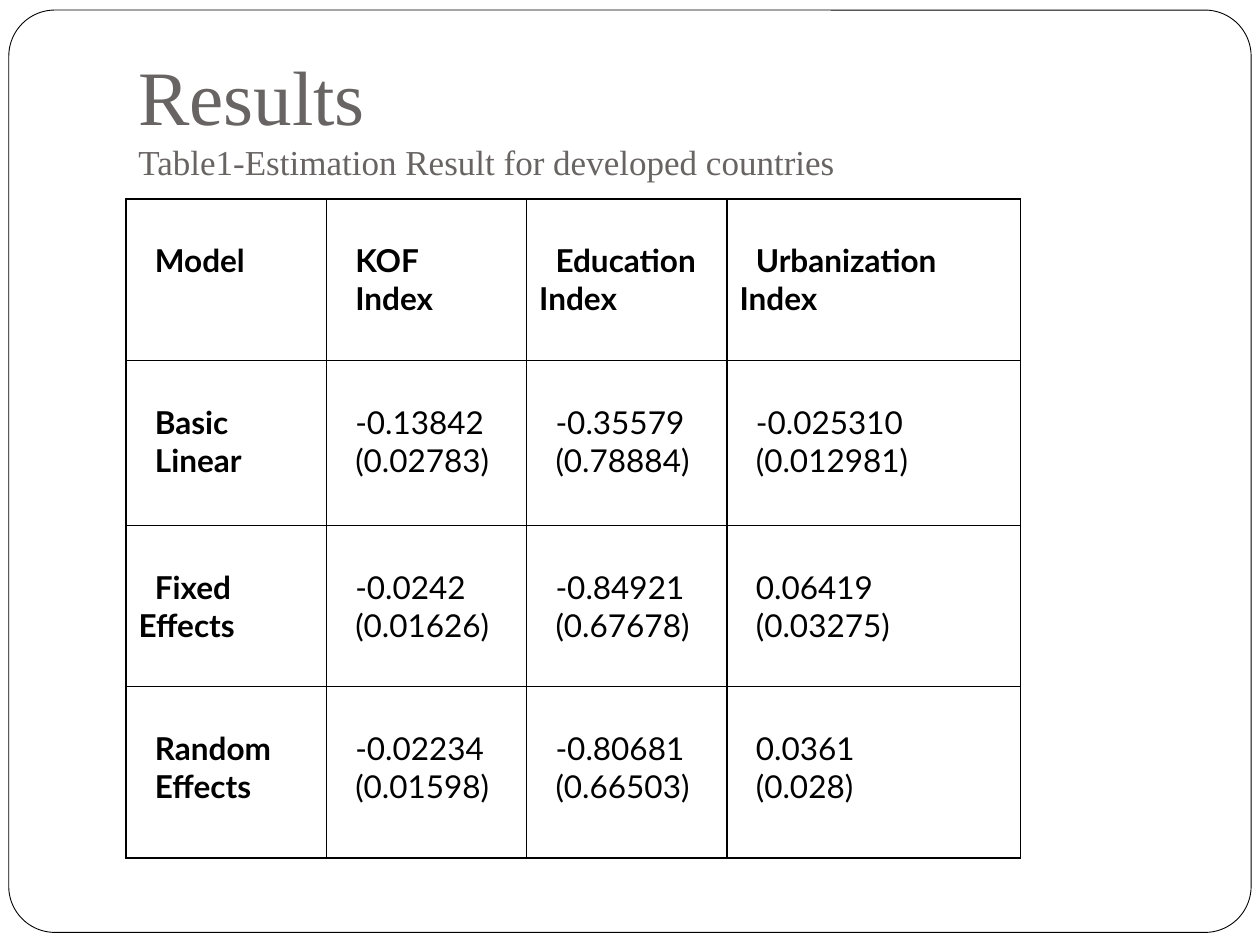
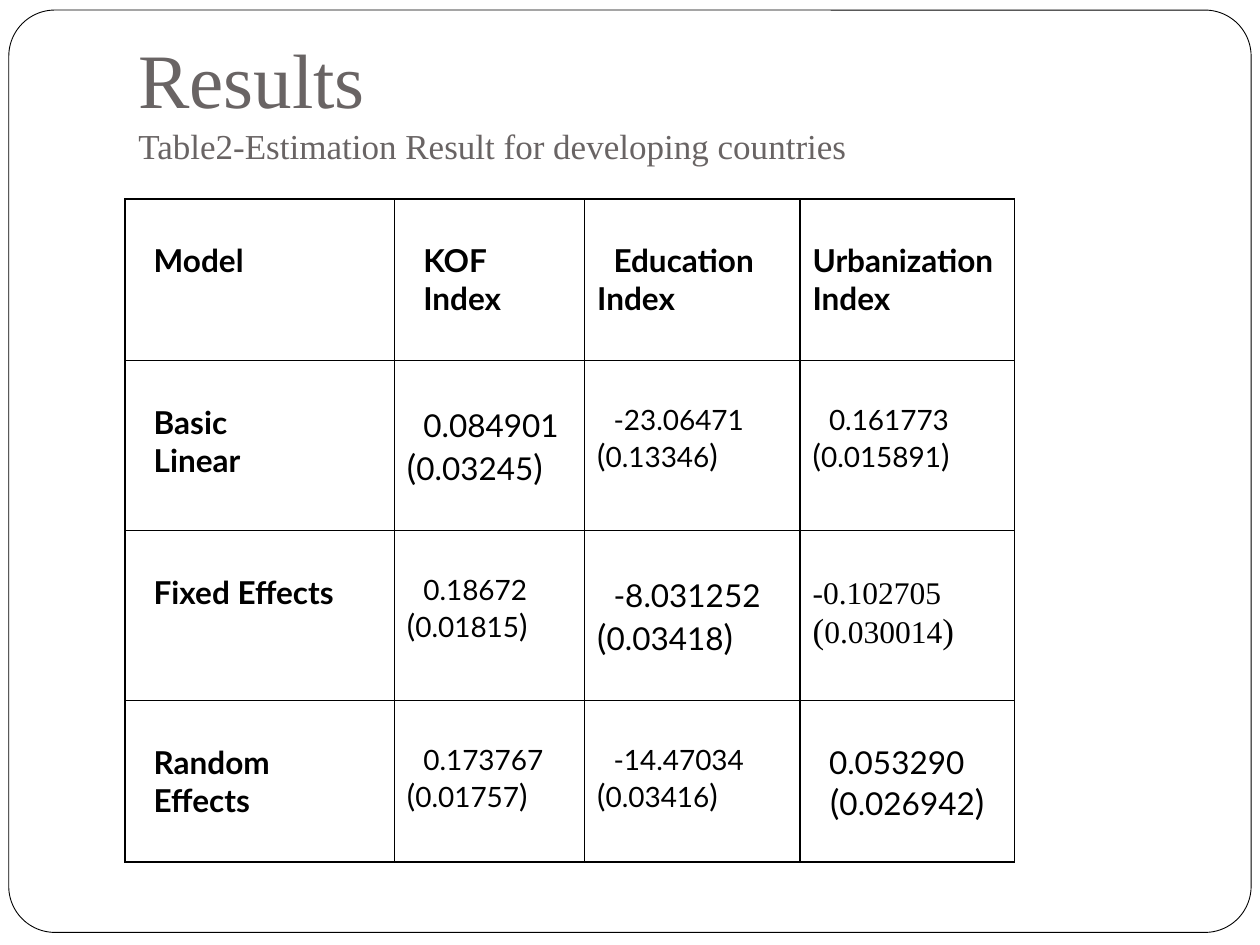
from dataclasses import dataclass

from lxml.etree import SubElement
from pptx import Presentation
from pptx.dml.color import RGBColor
from pptx.enum.shapes import MSO_SHAPE
from pptx.enum.text import MSO_ANCHOR, PP_ALIGN
from pptx.oxml.ns import qn
from pptx.util import Inches, Pt


@dataclass(frozen=True)
class Theme:
    paper: RGBColor = RGBColor(0xFF, 0xFF, 0xFF)
    ink: RGBColor = RGBColor(0, 0, 0)
    heading: RGBColor = RGBColor(0x69, 0x64, 0x64)
    serif: str = "Times New Roman"
    sans: str = "Lato"
    title: int = 44
    subtitle: int = 20
    large: int = 20
    body: int = 18
    small: int = 16
    frame_line: float = 0.5
    rule: float = 1
    indent: float = 0.13
    cell_top: float = 0.34


THEME = Theme()


@dataclass(frozen=True)
class Line:
    spans: tuple
    left: float = 0
    first: float = 0
    bold: bool = False
    font: str = THEME.sans
    align: PP_ALIGN = PP_ALIGN.LEFT


def block(*texts, bold=False):
    return [Line(((text, THEME.body),), left=THEME.indent, bold=bold) for text in texts]


def label(*texts):
    return block(*texts, bold=True)


def wrapped(text, first=THEME.indent):
    return [Line(((text, THEME.body),), first=first, bold=True)]


def bracketed(error, outer, inner):
    return ("(", outer), (error, inner), (")", outer)


def large_pair(value, error, first=THEME.indent, font=THEME.sans):
    spans = ((value, THEME.body), (" ", THEME.large),
             *bracketed(error, THEME.large, THEME.body))
    return [Line(spans, first=first, font=font)]


def small_pair(value, error):
    return [Line(((value, THEME.small),), first=THEME.indent),
            Line(bracketed(error, THEME.body, THEME.small))]


def centred_pair(value, error):
    return [Line(((value, THEME.body),), first=THEME.indent),
            Line(bracketed(error, THEME.large, THEME.body), align=PP_ALIGN.CENTER)]


def add_span(para, text, size, font, color, bold=False):
    span = para.add_run()
    span.text = text
    span.font.size = Pt(size)
    span.font.name = font
    span.font.color.rgb = color
    span.font.bold = bold


def next_para(frame, index):
    return frame.add_paragraph() if index else frame.paragraphs[0]


def draw_frame(page, box):
    frame = page.shapes.add_shape(MSO_SHAPE.ROUNDED_RECTANGLE, *map(Inches, box))
    frame.adjustments[0] = 0.05
    frame.shadow.inherit = False
    frame.fill.solid()
    frame.fill.fore_color.rgb = THEME.paper
    frame.line.color.rgb = THEME.ink
    frame.line.width = Pt(THEME.frame_line)


def draw_title(page, box, title, subtitle):
    frame = page.shapes.add_textbox(*map(Inches, box)).text_frame
    frame.word_wrap = True
    frame.vertical_anchor = MSO_ANCHOR.BOTTOM
    frame.margin_bottom = Inches(0.1)
    for index, (text, size) in enumerate(((title, THEME.title), (subtitle, THEME.subtitle))):
        add_span(next_para(frame, index), text, size, THEME.serif, THEME.heading)


def rule_cell(cell):
    properties = cell._tc.get_or_add_tcPr()
    for position, side in enumerate(("a:lnL", "a:lnR", "a:lnT", "a:lnB")):
        line = SubElement(properties, qn(side), w=str(Pt(THEME.rule)))
        fill = SubElement(line, qn("a:solidFill"))
        SubElement(fill, qn("a:srgbClr"), val=str(THEME.ink))
        properties.remove(line)
        properties.insert(position, line)


def fill_cell(cell, lines):
    cell.fill.background()
    cell.margin_top = Inches(THEME.cell_top)
    rule_cell(cell)
    for index, line in enumerate(lines):
        para = next_para(cell.text_frame, index)
        para.alignment = line.align
        indents = para._p.get_or_add_pPr()
        indents.set("marL", str(Inches(line.left)))
        indents.set("indent", str(Inches(line.first)))
        for text, size in line.spans:
            add_span(para, text, size, line.font, THEME.ink, line.bold)


def draw_results(page, left, top, widths, heights, rows):
    table = page.shapes.add_table(
        len(heights), len(widths), Inches(left), Inches(top),
        Inches(sum(widths)), Inches(sum(heights))).table
    table.first_row = False
    table.horz_banding = False
    for column, width in zip(table.columns, widths):
        column.width = Inches(width)
    for row, height, contents in zip(table.rows, heights, rows):
        row.height = Inches(height)
        for cell, lines in zip(row.cells, contents):
            fill_cell(cell, lines)


def results_slide(deck, title_box, subtitle, left, widths, heights, rows):
    page = deck.slides.add_slide(deck.slide_layouts[6])
    draw_frame(page, (0.07, 0.08, 9.86, 7.32))
    draw_title(page, title_box, "Results", subtitle)
    draw_results(page, left, 1.58, widths, heights, rows)


DEVELOPED = [
    [label("Model"), label("KOF", "Index"),
     wrapped("Education Index"), wrapped("Urbanization Index")],
    [label("Basic", "Linear"), block("-0.13842", "(0.02783)"),
     block("-0.35579", "(0.78884)"), block("-0.025310", "(0.012981)")],
    [wrapped("Fixed Effects"), block("-0.0242", "(0.01626)"),
     block("-0.84921", "(0.67678)"), block("0.06419", "(0.03275)")],
    [label("Random", "Effects"), block("-0.02234", "(0.01598)"),
     block("-0.80681", "(0.66503)"), block("0.0361", "(0.028)")],
]

DEVELOPING = [
    [label("Model"), label("KOF", "Index"),
     wrapped("Education Index"), wrapped("Urbanization Index", first=0)],
    [label("Basic", "Linear"), large_pair("0.084901", "0.03245"),
     small_pair("-23.06471", "0.13346"), small_pair("0.161773", "0.015891")],
    [label("Fixed Effects"), small_pair("0.18672", "0.01815"),
     large_pair("-8.031252", "0.03418"),
     large_pair("-0.102705", "0.030014", first=0, font=THEME.serif)],
    [label("Random", "Effects"), small_pair("0.173767", "0.01757"),
     small_pair("-14.47034", "0.03416"), centred_pair("0.053290", "0.026942")],
]


def main():
    deck = Presentation()
    deck.slide_width, deck.slide_height = Inches(10), Inches(7.5)
    results_slide(deck, (1, 0.3, 8.5, 1.25),
                  "Table1-Estimation Result for developed countries",
                  1, (1.59, 1.59, 1.59, 2.33), (1.28, 1.31, 1.28, 1.36), DEVELOPED)
    results_slide(deck, (1, 0, 8.5, 1.42),
                  "Table2-Estimation Result for developing countries",
                  0.99, (2.14, 1.51, 1.71, 1.7), (1.28, 1.35, 1.35, 1.28), DEVELOPING)
    deck.save("out.pptx")


if __name__ == "__main__":
    main()
